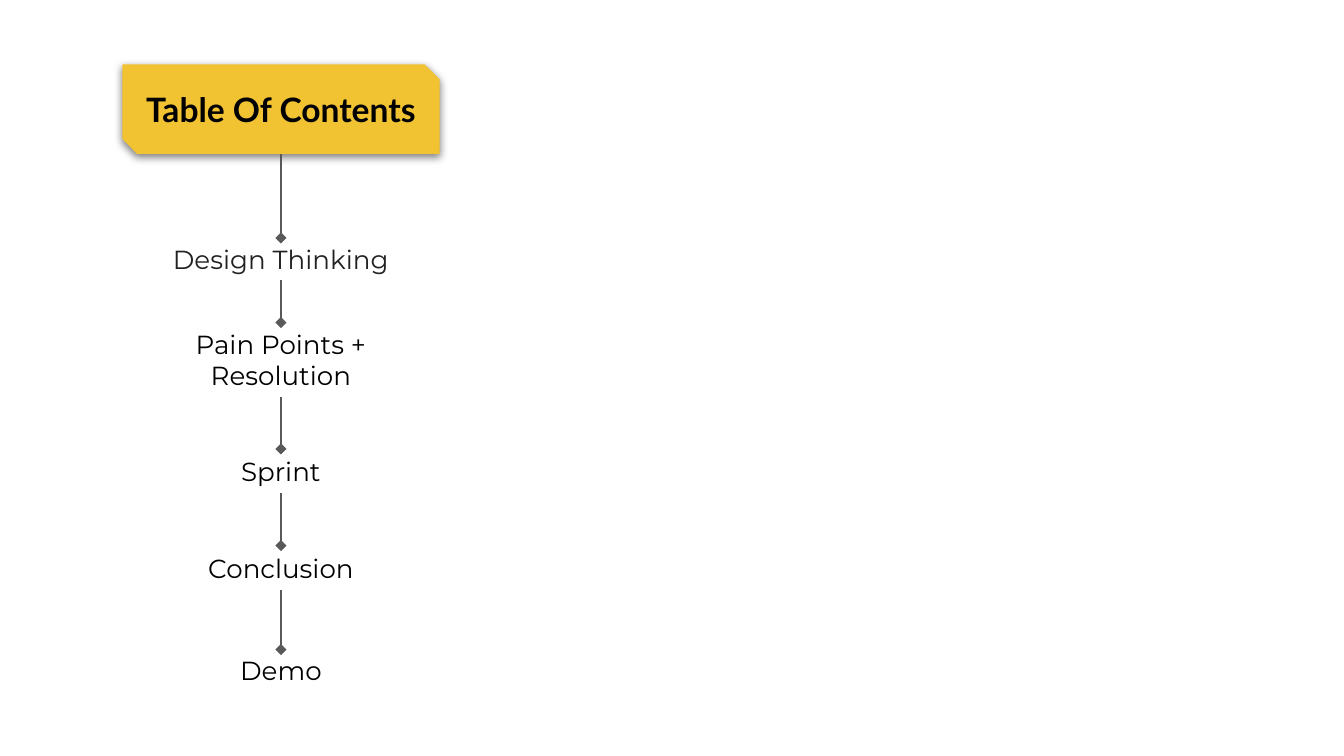
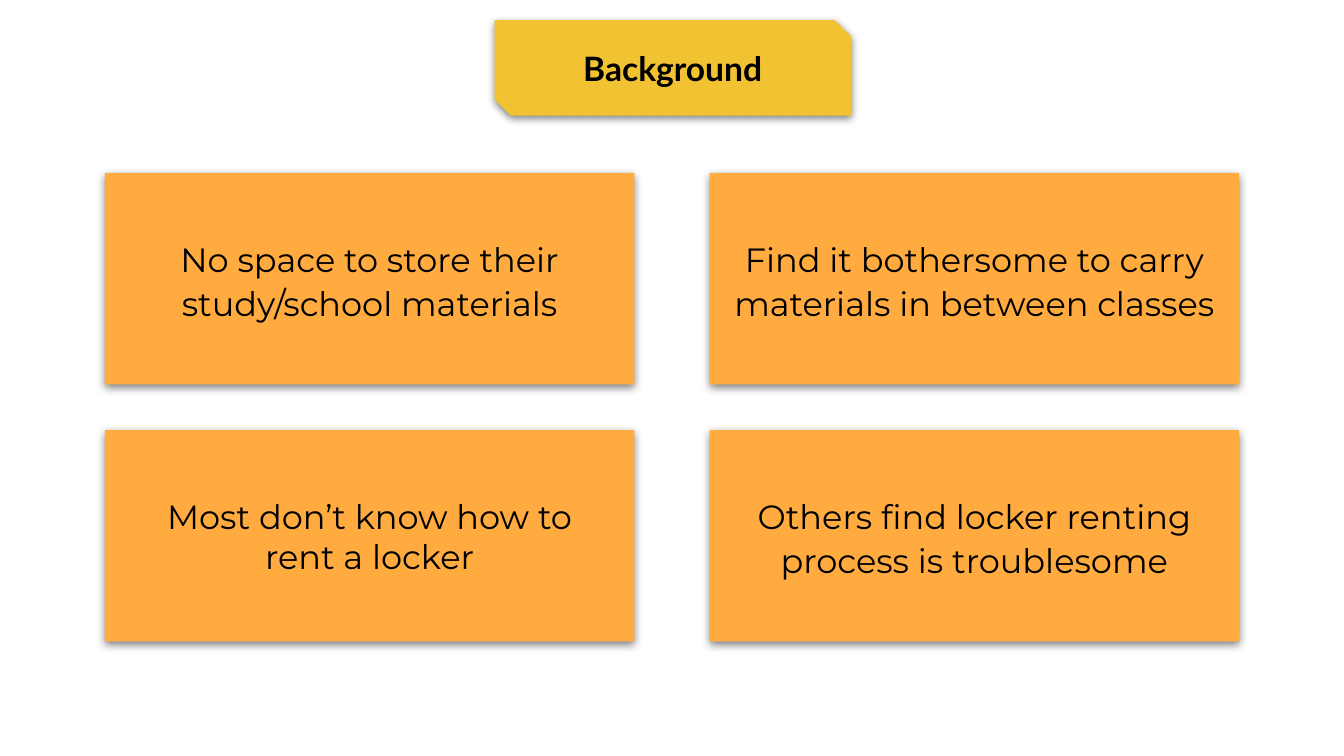
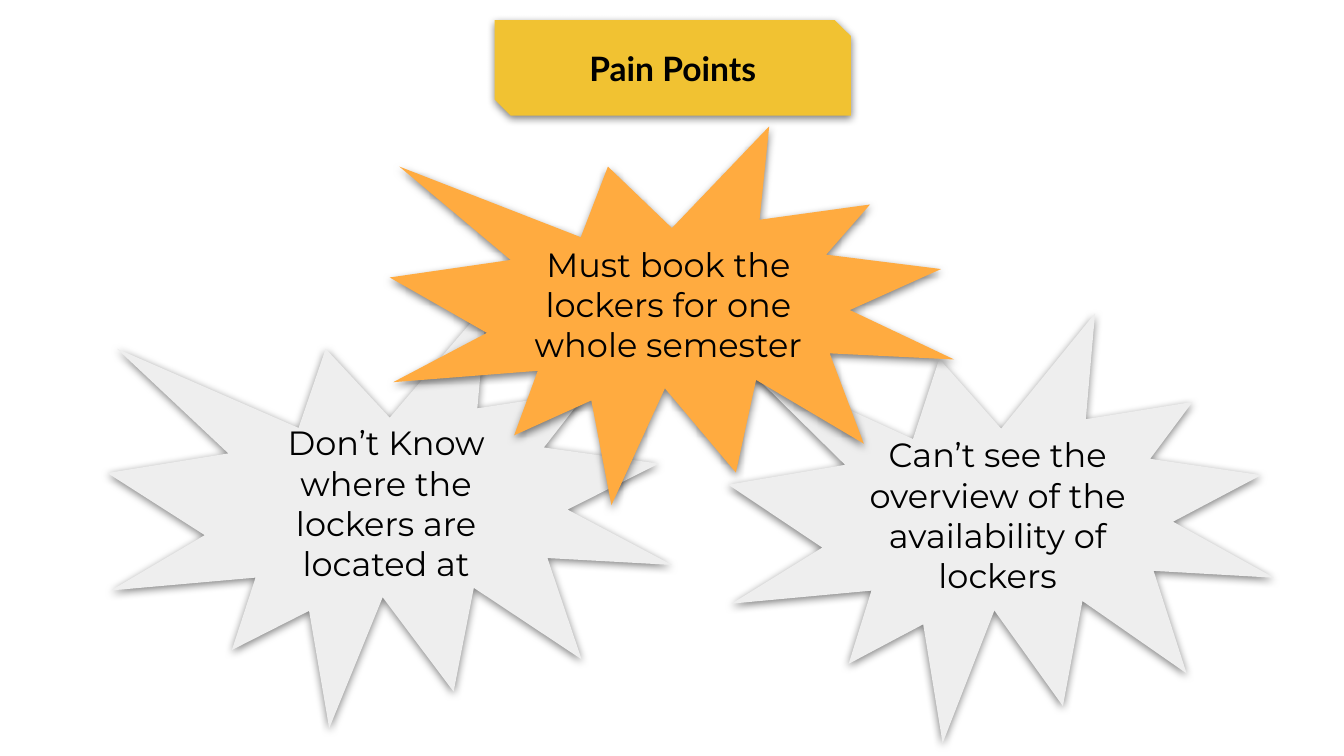
from dataclasses import dataclass

from lxml import etree
from pptx import Presentation
from pptx import util as u
from pptx.dml.color import RGBColor
from pptx.enum import shapes, text
from pptx.oxml import ns
from pptx.util import Pt

COLORS = {
    "title": "F1C232",
    "highlight": "FFAB40",
    "muted": "EEEEEE",
    "text": "000000",
    "soft_text": "212121",
    "line": "595959",
}
TITLE_FONT, BODY_FONT = "Lato", "Montserrat"
INSET = 7.2


@dataclass(frozen=True)
class Box:
    left: float
    top: float
    width: float
    height: float

    @property
    def center(self) -> float:
        return self.left + self.width / 2

    @property
    def bottom(self) -> float:
        return self.top + self.height

    def lengths(self) -> list[u.Length]:
        return [Pt(value) for value in (self.left, self.top, self.width, self.height)]


@dataclass(frozen=True)
class TextStyle:
    font: str = BODY_FONT
    size: float = 18
    bold: bool = False
    color: str = "text"
    line_spacing: float = 1.0


@dataclass(frozen=True)
class Step:
    label: str
    top: float
    width: float
    height: float
    color: str = "text"


@dataclass(frozen=True)
class Card:
    lines: tuple[str, ...]
    line_spacing: float = 1.1


@dataclass(frozen=True)
class Burst:
    label: str
    box: Box
    fill: str


TITLE_STYLE = TextStyle(TITLE_FONT, bold=True)
TITLE_BOX = Box(265, 10.8, 190.8, 51.1)

CONTENTS_TITLE_BOX = Box(65.5, 34.5, 170, 48)
STEPS = [
    Step("Design Thinking", 127.5, 141, 22.5, "soft_text"),
    Step("Pain Points + Resolution", 172.8, 164, 39.8),
    Step("Sprint", 240.5, 141, 23.8),
    Step("Conclusion", 292.3, 101.5, 23.8),
    Step("Demo", 348, 101.5, 22.3),
]

FIRST_CARD = Box(56.2, 92.8, 283.6, 113.2)
COLUMN_PITCH, ROW_PITCH = 324, 137.6
CARD_ROWS = [
    [
        Card(("No space to store their study/school materials",)),
        Card(("Find it bothersome to carry materials in between classes",)),
    ],
    [
        Card(("Most don’t know how to", "rent a locker"), 1.0),
        Card(("Others find locker renting process is troublesome",)),
    ],
]

BURSTS = [
    Burst("Don’t Know where the lockers are located at",
          Box(57.6, 162.7, 302.4, 227.5), "muted"),
    Burst("Can’t see the overview of the availability of lockers",
          Box(390.2, 167.8, 292.3, 230.4), "muted"),
    Burst("Must book the lockers for one whole semester",
          Box(208.8, 67.7, 302.4, 203), "highlight"),
]


def rgb(name: str) -> RGBColor:
    return RGBColor.from_string(COLORS[name])


def write_text(shape, lines: tuple[str, ...], style: TextStyle) -> None:
    frame = shape.text_frame
    frame.word_wrap = True
    frame.vertical_anchor = text.MSO_ANCHOR.MIDDLE
    frame.margin_left = frame.margin_right = Pt(INSET)
    frame.margin_top = frame.margin_bottom = Pt(INSET)
    for index, line in enumerate(lines):
        paragraph = frame.add_paragraph() if index else frame.paragraphs[0]
        paragraph.alignment = text.PP_ALIGN.CENTER
        paragraph.line_spacing = style.line_spacing
        run = paragraph.add_run()
        run.text = line
        run.font.name = style.font
        run.font.size = Pt(style.size)
        run.font.bold = style.bold
        run.font.color.rgb = rgb(style.color)


def add_soft_shadow(shape) -> None:
    shape.shadow.inherit = False
    effects = shape._element.spPr.find(ns.qn("a:effectLst"))
    shadow = etree.SubElement(
        effects, ns.qn("a:outerShdw"), blurRad=str(Pt(4.5)), dist=str(Pt(1.5)),
        dir="5400000", algn="bl", rotWithShape="0")
    color = etree.SubElement(shadow, ns.qn("a:srgbClr"), val="000000")
    etree.SubElement(color, ns.qn("a:alpha"), val="50000")


def add_panel(slide, kind: shapes.MSO_SHAPE, box: Box, fill: str,
              lines: tuple[str, ...], style: TextStyle):
    """Add a borderless filled shape with a soft shadow and centred text."""
    shape = slide.shapes.add_shape(kind, *box.lengths())
    shape.fill.solid()
    shape.fill.fore_color.rgb = rgb(fill)
    shape.line.fill.background()
    add_soft_shadow(shape)
    write_text(shape, lines, style)
    return shape


def add_title(slide, title: str, box: Box = TITLE_BOX) -> None:
    shape = add_panel(slide, shapes.MSO_SHAPE.SNIP_2_DIAG_RECTANGLE, box,
                      "title", (title,), TITLE_STYLE)
    shape.adjustments[0] = 0
    shape.adjustments[1] = 0.167


def add_diamond_line(slide, x: float, top: float, bottom: float) -> None:
    connector = slide.shapes.add_connector(
        shapes.MSO_CONNECTOR.STRAIGHT, Pt(x), Pt(top), Pt(x), Pt(bottom))
    connector.line.color.rgb = rgb("line")
    connector.line.width = Pt(0.75)
    properties = connector._element.spPr
    etree.SubElement(properties.find(ns.qn("a:ln")), ns.qn("a:tailEnd"), type="diamond")
    etree.SubElement(properties, ns.qn("a:effectLst"))


def build_contents(slide) -> None:
    add_title(slide, "Table Of Contents", CONTENTS_TITLE_BOX)
    center = CONTENTS_TITLE_BOX.center
    previous = CONTENTS_TITLE_BOX
    for step in STEPS:
        box = Box(center - step.width / 2, step.top, step.width, step.height)
        add_diamond_line(slide, center, previous.bottom, box.top)
        label = slide.shapes.add_textbox(*box.lengths())
        write_text(label, (step.label,), TextStyle(size=14, color=step.color))
        previous = box


def build_background(slide) -> None:
    add_title(slide, "Background")
    for row, cards in enumerate(CARD_ROWS):
        for column, card in enumerate(cards):
            box = Box(FIRST_CARD.left + column * COLUMN_PITCH,
                      FIRST_CARD.top + row * ROW_PITCH,
                      FIRST_CARD.width, FIRST_CARD.height)
            add_panel(slide, shapes.MSO_SHAPE.RECTANGLE, box, "highlight",
                      card.lines, TextStyle(line_spacing=card.line_spacing))


def build_pain_points(slide) -> None:
    add_title(slide, "Pain Points")
    for burst in BURSTS:
        add_panel(slide, shapes.MSO_SHAPE.EXPLOSION1, burst.box, burst.fill,
                  (burst.label,), TextStyle())


def main() -> None:
    presentation = Presentation()
    presentation.slide_width = Pt(720)
    presentation.slide_height = Pt(405)
    blank = presentation.slide_layouts[6]
    for build in (build_contents, build_background, build_pain_points):
        build(presentation.slides.add_slide(blank))
    presentation.save("out.pptx")


if __name__ == "__main__":
    main()
